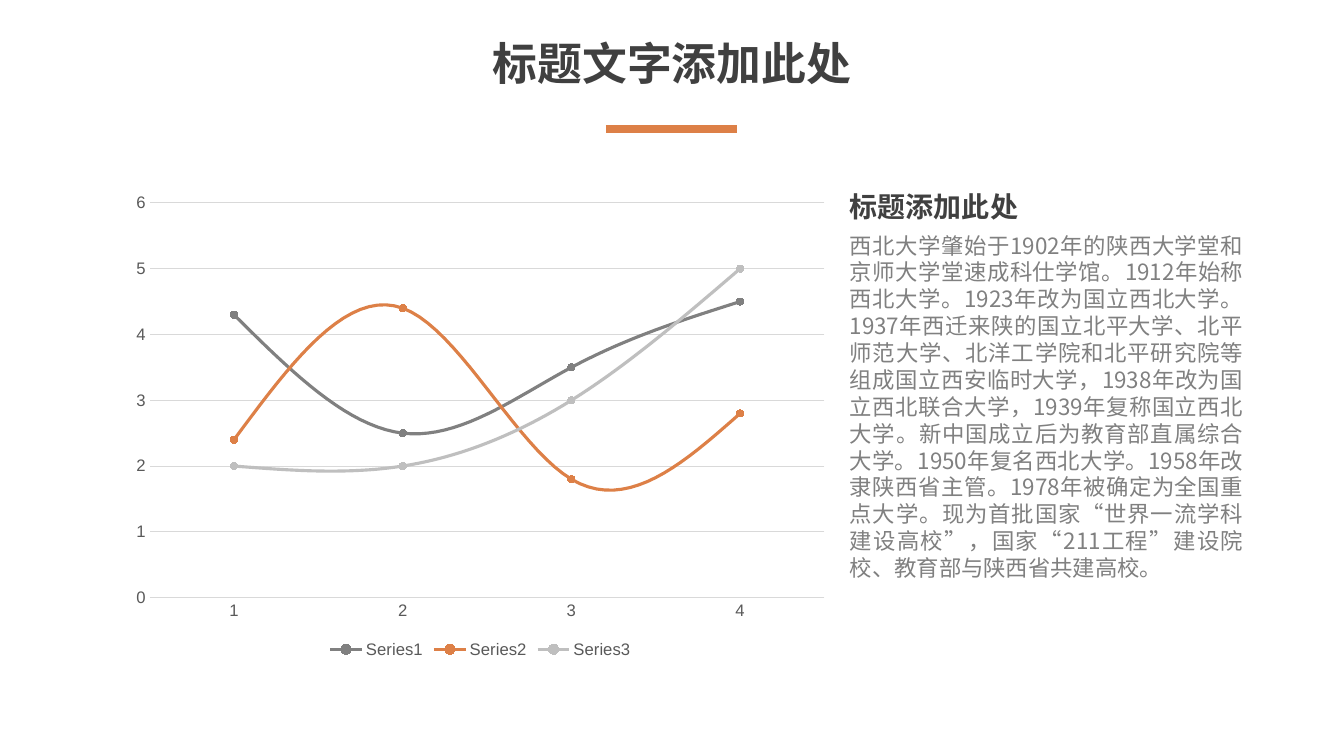
from pptx import Presentation
from pptx import util as u
from pptx.chart.data import CategoryChartData
from pptx.dml.color import RGBColor
from pptx.enum import chart as charts, shapes, text
from pptx.oxml.ns import qn

PX = 9144
HEADING_FONT = "Noto Sans CJK SC"
DARK, GRAY, SILVER, ORANGE = "404040", "808080", "BFBFBF", "DD8047"
AXIS_TEXT, GRID = "595959", "D9D9D9"
SERIES = [
    ("Series1", (4.3, 2.5, 3.5, 4.5), GRAY),
    ("Series2", (2.4, 4.4, 1.8, 2.8), ORANGE),
    ("Series3", (2, 2, 3, 5), SILVER),
]
HISTORY = (
    "西北大学肇始于1902年的陕西大学堂和京师大学堂速成科仕学馆。"
    "1912年始称西北大学。1923年改为国立西北大学。"
    "1937年西迁来陕的国立北平大学、北平师范大学、北洋工学院和北平研究院等"
    "组成国立西安临时大学，1938年改为国立西北联合大学，1939年复称国立西北大学。"
    "新中国成立后为教育部直属综合大学。1950年复名西北大学。"
    "1958年改隶陕西省主管。1978年被确定为全国重点大学。"
    "现为首批国家“世界一流学科建设高校”，国家“211工程”建设院校、"
    "教育部与陕西省共建高校。"
)


def px(*lengths):
    return [u.Emu(length * PX) for length in lengths]


def color(value):
    return RGBColor.from_string(value)


def style_line(line, shade, width):
    line.color.rgb = color(shade)
    line.width = u.Pt(width)


def style_font(font, size, shade, name="Arial", bold=False):
    font.name, font.size, font.bold = name, u.Pt(size), bold
    font.color.rgb = color(shade)


def add_text(page, words, box, size, shade, bold=False, wrap=False, inset=0,
             align=text.PP_ALIGN.LEFT, anchor=text.MSO_ANCHOR.MIDDLE, spacing=None):
    frame = page.shapes.add_textbox(*px(*box)).text_frame
    frame.word_wrap = wrap
    frame.auto_size = text.MSO_AUTO_SIZE.NONE
    frame.vertical_anchor = anchor
    frame.margin_top, frame.margin_bottom = px(inset, inset)
    para = frame.paragraphs[0]
    para.alignment = align
    if spacing:
        para.line_spacing = u.Pt(spacing)
    span = para.add_run()
    span.text = words
    style_font(span.font, size, shade, HEADING_FONT, bold)
    properties = span.font._element
    east_asian = properties.makeelement(qn("a:ea"), {"typeface": HEADING_FONT})
    properties.find(qn("a:latin")).addnext(east_asian)


def add_header(page, box):
    left, top, width, height = box
    add_text(page, "标题文字添加此处", box, 32, DARK, bold=True,
             align=text.PP_ALIGN.CENTER)
    middle, rule_top, half = left + width // 2, top + height + 34, 65
    rule = page.shapes.add_connector(
        shapes.MSO_CONNECTOR.STRAIGHT,
        *px(middle - half, rule_top, middle + half, rule_top))
    style_line(rule.line, ORANGE, 6)
    shape_properties = rule._element.spPr
    shape_properties.append(shape_properties.makeelement(qn("a:effectLst"), {}))


def add_trend_chart(page, box):
    data = CategoryChartData()
    data.categories = ["1", "2", "3", "4"]
    for name, values, _ in SERIES:
        data.add_series(name, values)
    chart = page.shapes.add_chart(
        charts.XL_CHART_TYPE.LINE_MARKERS, *px(*box), data).chart
    chart.has_title = False
    style_font(chart.font, 11.9, AXIS_TEXT)
    chart.has_legend = True
    chart.legend.position = charts.XL_LEGEND_POSITION.BOTTOM
    chart.legend.include_in_layout = False
    style_font(chart.legend.font, 11.9, AXIS_TEXT)
    for axis in (chart.category_axis, chart.value_axis):
        axis.major_tick_mark = axis.minor_tick_mark = charts.XL_TICK_MARK.NONE
        style_font(axis.tick_labels.font, 11.9, AXIS_TEXT)
    style_line(chart.category_axis.format.line, GRID, 0.75)
    chart.value_axis.format.line.fill.background()
    chart.value_axis.has_major_gridlines = True
    style_line(chart.value_axis.major_gridlines.format.line, GRID, 0.75)
    plot = chart.plots[0]
    plot.vary_by_categories = False
    for series, (_, _, shade) in zip(plot.series, SERIES):
        series.smooth = True
        style_line(series.format.line, shade, 2.25)
        marker = series.marker
        marker.style, marker.size = charts.XL_MARKER_STYLE.CIRCLE, 5
        marker.format.fill.solid()
        marker.format.fill.fore_color.rgb = color(shade)
        style_line(marker.format.line, shade, 0.75)


def add_history(page, box):
    left, top, width, height = box
    add_text(page, "标题添加此处", (left, top, 188, 44), 20, DARK, bold=True)
    add_text(page, HISTORY, (left, top + 42, width, height - 42), 16, GRAY,
             wrap=True, inset=5, align=text.PP_ALIGN.JUSTIFY,
             anchor=text.MSO_ANCHOR.TOP, spacing=19.2)


def main():
    deck = Presentation()
    deck.slide_width, deck.slide_height = px(1333, 750)
    page = deck.slides.add_slide(deck.slide_layouts[6])
    add_header(page, (477, 30, 379, 64))
    add_trend_chart(page, (121, 183, 711, 474))
    add_history(page, (833, 183, 410, 402))
    deck.save("out.pptx")


if __name__ == "__main__":
    main()
